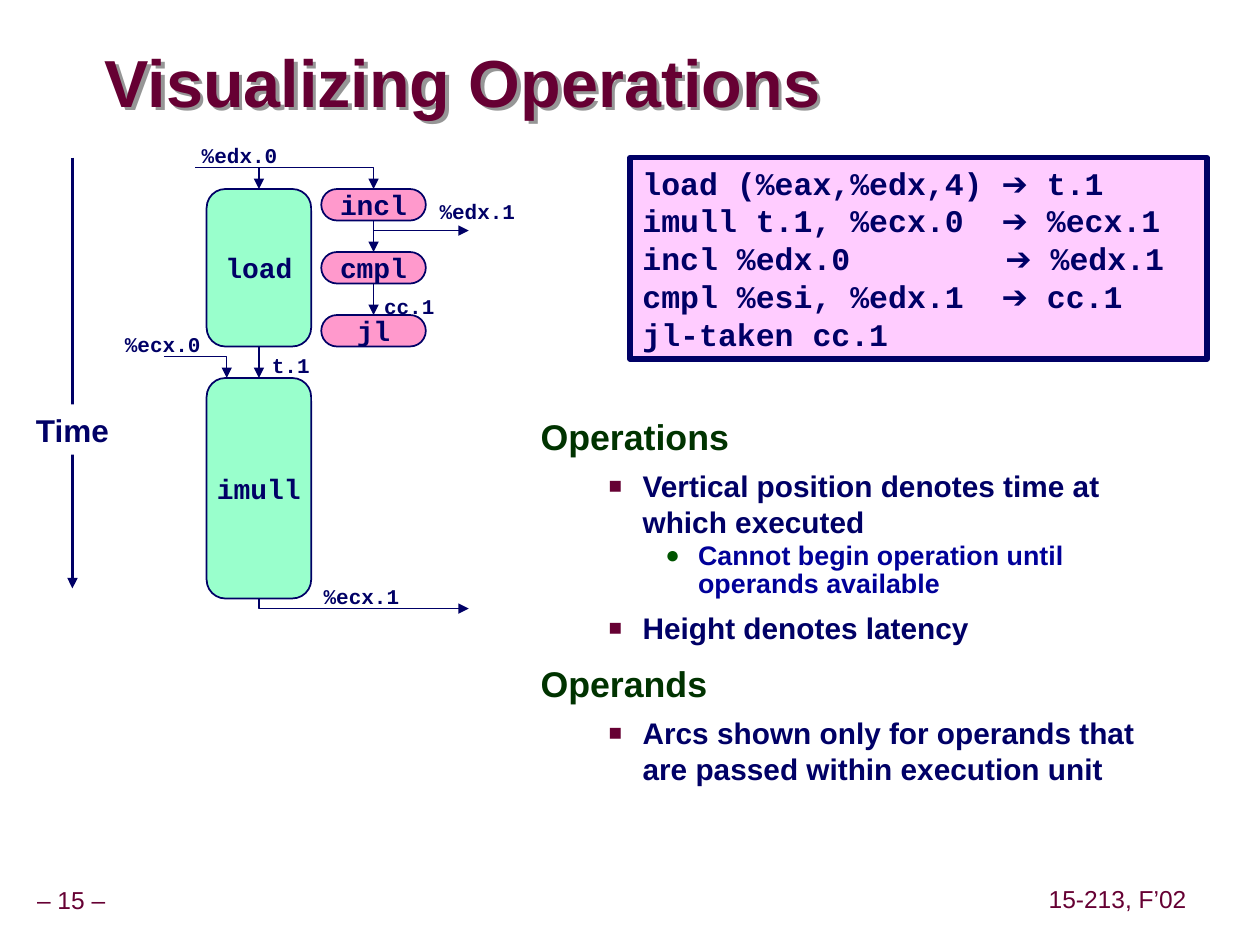
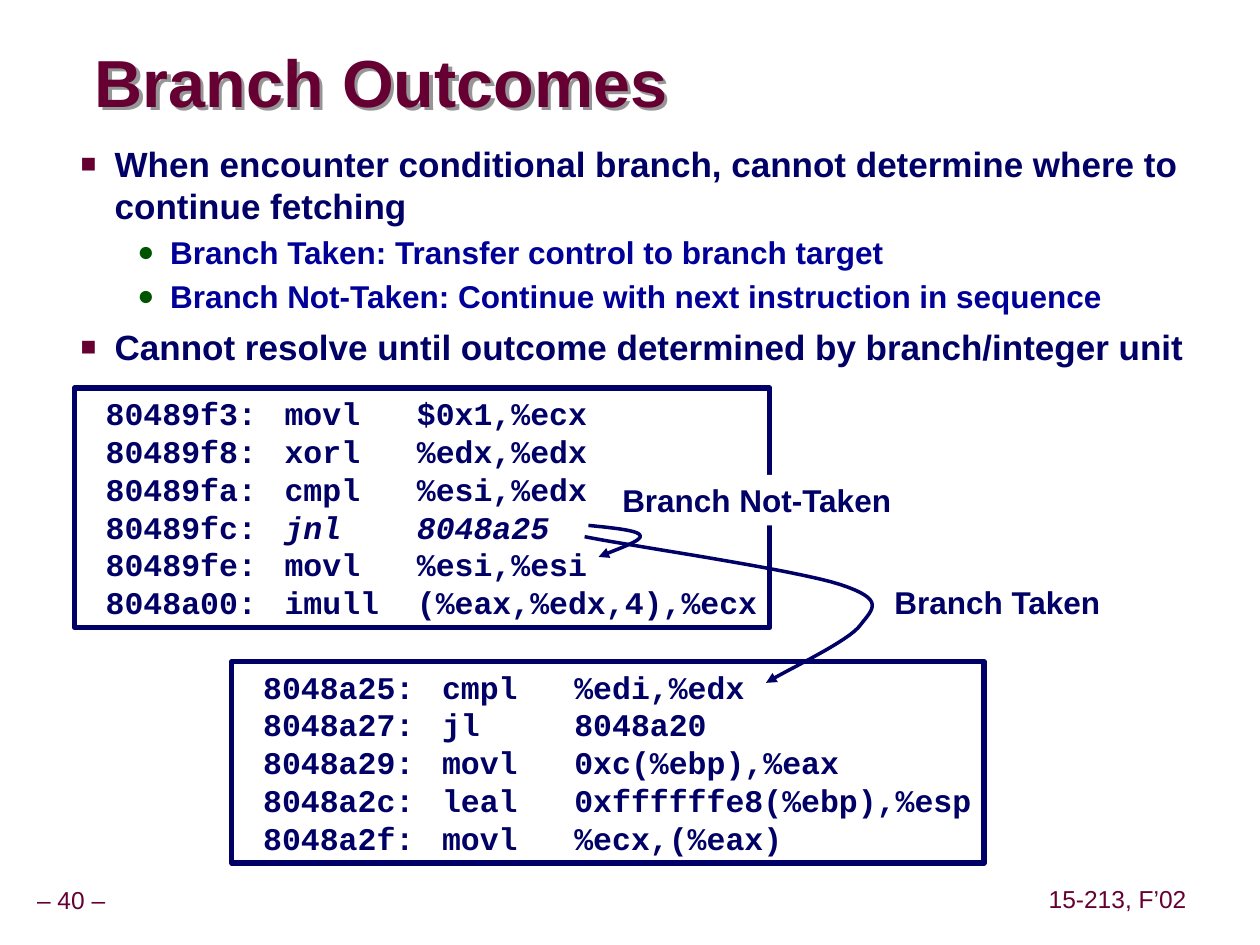
from dataclasses import dataclass

from lxml.etree import SubElement
from pptx import Presentation
from pptx.dml.color import RGBColor
from pptx.enum.shapes import MSO_CONNECTOR as CONN, MSO_SHAPE as SHAPE
from pptx.enum.text import MSO_ANCHOR as ANCHOR, MSO_AUTO_SIZE as AUTO, PP_ALIGN as ALIGN
from pptx.oxml.ns import qn
from pptx.util import Inches, Pt


@dataclass(frozen=True)
class Theme:
    sans: str = "Arial"
    mono: str = "Courier New"
    navy: str = "000066"
    blue: str = "000099"
    maroon: str = "660033"
    green: str = "003300"
    bullet_green: str = "005400"
    mint: str = "99FFCC"
    pink: str = "FF99CC"
    pale_pink: str = "FFCCFF"
    white: str = "FFFFFF"
    shadow: str = "969696"
    title: float = 38
    text: float = 18
    operation: float = 16
    footer: float = 14
    operand: float = 12
    thin: float = 0.75
    outline: float = 1
    arrow: float = 2
    frame: float = 3


@dataclass(frozen=True)
class Level:
    size: float
    color: str
    margin: float
    indent: float
    before: float
    spacing: float = 1.0
    bullet: str = ""
    bullet_color: str = ""
    bullet_size: int = 100


@dataclass(frozen=True)
class Box:
    x: float
    y: float
    w: float
    h: float

    def inside(self, dx, dy, w, h):
        return Box(self.x + dx, self.y + dy, w, h)

    def point(self, dx, dy):
        return self.x + dx, self.y + dy

    def emu(self):
        return [Inches(v) for v in (self.x, self.y, self.w, self.h)]


T = Theme()
LEVELS = [
    Level(24, T.green, 0.42, -0.42, 15, 0.75),
    Level(20, T.navy, 0.81, -0.27, 6.2, 1.0, "■", T.maroon, 75),
    Level(18, T.blue, 1.25, -0.26, 2.2, 1.0, "●", T.bullet_green, 90),
]
COURSE = "15-213, F’02"


def rgb(color):
    return RGBColor.from_string(color)


def add_run(p, text, size=T.text, color=T.navy, font=T.sans, bold=True, italic=False):
    r = p.add_run()
    r.text = text
    r.font.size, r.font.name = Pt(size), font
    r.font.bold, r.font.italic = bold, italic
    r.font.color.rgb = rgb(color)


def write(sp, lines, align=ALIGN.LEFT, anchor=ANCHOR.TOP, wrap=False,
          inset=(0.1, 0.05), spacing=None, tab=None, **fmt):
    """Fill a shape; a line is a string or a list of (text, format) runs."""
    tf = sp.text_frame
    tf.word_wrap, tf.auto_size, tf.vertical_anchor = wrap, AUTO.NONE, anchor
    tf.margin_left = tf.margin_right = Inches(inset[0])
    tf.margin_top = tf.margin_bottom = Inches(inset[1])
    for i, line in enumerate(lines):
        p = tf.paragraphs[0] if i == 0 else tf.add_paragraph()
        if tab:
            tabs = SubElement(p._p.get_or_add_pPr(), qn("a:tabLst"))
            SubElement(tabs, qn("a:tab"), pos=str(Inches(tab)), algn="l")
        p.alignment = align
        if spacing:
            p.line_spacing = spacing
        for text, extra in [(line, {})] if isinstance(line, str) else line:
            add_run(p, text, **{**fmt, **extra})


def add_label(slide, box, text, **fmt):
    write(slide.shapes.add_textbox(*box.emu()), [text], **fmt)


def add_block(slide, box, shape=SHAPE.RECTANGLE, fill=None, line=None, width=T.outline):
    sp = slide.shapes.add_shape(shape, *box.emu())
    sp.shadow.inherit = False
    if fill:
        sp.fill.solid()
        sp.fill.fore_color.rgb = rgb(fill)
    else:
        sp.fill.background()
    if line:
        sp.line.color.rgb, sp.line.width = rgb(line), Pt(width)
    else:
        sp.line.fill.background()
    return sp


def style_arrow(sp, width):
    sp.line.color.rgb, sp.line.width = rgb(T.navy), Pt(width)
    spPr = sp._element.spPr
    SubElement(spPr.find(qn("a:ln")), qn("a:tailEnd"), type="triangle")
    if spPr.find(qn("a:effectLst")) is None:
        SubElement(spPr, qn("a:effectLst"))


def add_arrow(slide, start, end, width=T.thin, source=None, target=None):
    """Straight arrow, joined to the bottom of source and the top of target."""
    sp = slide.shapes.add_connector(CONN.STRAIGHT, *(Inches(v) for v in (*start, *end)))
    if source:
        sp.begin_connect(source, 2)
    if target:
        sp.end_connect(target, 0)
    style_arrow(sp, width)


def add_path_arrow(slide, points, width=T.thin):
    pts = [(Inches(x), Inches(y)) for x, y in points]
    builder = slide.shapes.build_freeform(*pts[0])
    builder.add_line_segments(pts[1:], close=False)
    sp = builder.convert_to_shape()
    sp.fill.background()
    style_arrow(sp, width)


def curve(start, *segments, steps=16):
    """Points along a chain of cubic Bézier segments."""
    points = [start]
    for c1, c2, end in segments:
        for i in range(1, steps + 1):
            t = i / steps
            weights = ((1 - t) ** 3, 3 * t * (1 - t) ** 2, 3 * t * t * (1 - t), t ** 3)
            points.append(tuple(sum(w * q[k] for w, q in zip(weights, (start, c1, c2, end)))
                                for k in (0, 1)))
        start = end
    return points


def add_title(slide, box, text):
    sp = slide.shapes.title
    sp.left, sp.top, sp.width, sp.height = box.emu()
    write(sp, [text], anchor=ANCHOR.MIDDLE, wrap=True, inset=(0, 0), spacing=0.87,
          size=T.title, color=T.maroon)
    sp.fill.background()
    effects = SubElement(sp._element.spPr, qn("a:effectLst"))
    shadow = SubElement(effects, qn("a:outerShdw"), dist=str(Inches(0.04)),
                        dir="2700000", algn="ctr", rotWithShape="0")
    SubElement(shadow, qn("a:srgbClr"), val=T.shadow)


def add_list(slide, box, items, scale=1.0, detail_spacing=1.0):
    sp = slide.placeholders[1]
    sp.left, sp.top, sp.width, sp.height = box.emu()
    write(sp, [], wrap=True)
    tf = sp.text_frame
    for i, (depth, text) in enumerate(items):
        p = tf.paragraphs[0] if i == 0 else tf.add_paragraph()
        level = LEVELS[depth]
        p.level = depth
        pPr = p._p.get_or_add_pPr()
        pPr.set("marL", str(Inches(level.margin)))
        pPr.set("indent", str(Inches(level.indent)))
        if level.bullet:
            color = SubElement(pPr, qn("a:buClr"))
            SubElement(color, qn("a:srgbClr"), val=level.bullet_color)
            SubElement(pPr, qn("a:buSzPct"), val=str(level.bullet_size * 1000))
            SubElement(pPr, qn("a:buFont"), typeface=T.sans)
            SubElement(pPr, qn("a:buChar"), char=level.bullet)
        else:
            SubElement(pPr, qn("a:buNone"))
        p.alignment = ALIGN.LEFT
        p.line_spacing = detail_spacing if depth == 2 else level.spacing
        p.space_before = Pt(level.before if i else 0)
        add_run(p, text, size=level.size * scale, color=level.color)


def add_slide(prs, number, title, title_box):
    slide = prs.slides.add_slide(prs.slide_layouts[1])
    add_title(slide, title_box, title)
    for box, text in ((Box(-0.09, 7, 1.31, 0.31), f"– {number} –"),
                      (Box(8.27, 6.99, 1.2, 0.31), COURSE)):
        add_label(slide, box, text, align=ALIGN.CENTER, anchor=ANCHOR.MIDDLE,
                  inset=(0.05, 0.05), spacing=0.9, size=T.footer, color=T.maroon, bold=False)
    return slide


def add_code(slide, box, lines, fill=None, tab=1.57, wrap=False):
    sp = add_block(slide, box, fill=fill, line=T.navy, width=T.frame)
    write(sp, lines, wrap=wrap, tab=tab, font=T.mono)


def add_operation(slide, box, name, fill, radius):
    sp = add_block(slide, box, SHAPE.ROUNDED_RECTANGLE, fill, T.navy)
    sp.adjustments[0] = radius
    write(sp, [name], align=ALIGN.CENTER, anchor=ANCHOR.MIDDLE,
          size=T.operation, font=T.mono)
    return sp


def add_time_axis(slide, box):
    middle = box.w / 2
    add_arrow(slide, box.point(middle, 0), box.point(middle, box.h), T.arrow)
    sp = add_block(slide, box.inside(0, 1.96, box.w, 0.4), fill=T.white)
    write(sp, ["Time"], align=ALIGN.CENTER, wrap=True)


def add_dataflow(slide, box):
    """Operation blocks with the operands passed between them."""
    at = box.point
    op_w, step = 0.83, 0.25
    load_x, chain_x, top = 0.34, 1.25, 0.17
    load_mid, chain_mid = load_x + op_w / 2, chain_x + op_w / 2
    load_h, imull_h, right = 5 * step, 7 * step, 2.42
    load_end = top + load_h
    imull_top = load_end + step
    imull_end = imull_top + imull_h

    load, imull = (add_operation(slide, box.inside(load_x, y, op_w, h), name, T.mint, 0.18)
                   for name, y, h in (("load", top, load_h), ("imull", imull_top, imull_h)))
    chain = [add_operation(slide, box.inside(chain_x, top + 2 * i * step, op_w, step),
                           name, T.pink, 0.5)
             for i, name in enumerate(("incl", "cmpl", "jl"))]

    add_arrow(slide, at(load_mid, 0), at(load_mid, top), target=load)
    for source, target in ((load, imull), *zip(chain, chain[1:])):
        add_arrow(slide, at(0, 0), at(0, 0), source=source, target=target)
    add_arrow(slide, at(chain_mid, 0.5), at(right, 0.5))
    for path in (
        ((0.25, 0), (chain_mid, 0), (chain_mid, top)),
        ((0, 1.5), (0.5, 1.5), (0.5, imull_top)),
        ((load_mid, imull_end), (load_mid, imull_end + 0.08), (right, imull_end + 0.08)),
    ):
        add_path_arrow(slide, [at(*q) for q in path])

    for text, x, y, w, align in (
        ("%edx.0", 0.2, -0.25, 0.8, ALIGN.RIGHT),
        ("%edx.1", 2.09, 0.2, 0.8, ALIGN.LEFT),
        ("cc.1", 1.65, 0.95, 0.6, ALIGN.LEFT),
        ("%ecx.0", -0.41, 1.25, 0.8, ALIGN.RIGHT),
        ("t.1", 0.76, 1.42, 0.5, ALIGN.LEFT),
        ("%ecx.1", 1.17, 3.25, 0.8, ALIGN.LEFT),
    ):
        add_label(slide, box.inside(x, y, w, 0.3), text, align=align,
                  size=T.operand, font=T.mono)


def add_branch_arrows(slide, box):
    at = box.point
    add_label(slide, box.inside(2.36, 0.41, 1.85, 0.4), "Branch Taken")
    sp = add_block(slide, box.inside(0.2, -0.4, 2.35, 0.4), fill=T.white)
    write(sp, ["Branch Not-Taken"])
    not_taken = curve(at(0.03, 0), (at(0.23, 0.02), at(0.43, 0.04), at(0.44, 0.08)),
                      (at(0.46, 0.12), at(0.28, 0.18), at(0.11, 0.25)))
    taken = curve(at(0, 0.09), (at(0.34, 0.16), at(1.66, 0.35), at(2.03, 0.47)),
                  (at(2.39, 0.59), at(2.29, 0.66), at(2.19, 0.79)),
                  (at(2.1, 0.92), at(1.6, 1.15), at(1.44, 1.25)))
    for points in (not_taken, taken):
        add_path_arrow(slide, points, T.arrow)


def build_operations(prs):
    slide = add_slide(prs, 15, "Visualizing Operations", Box(0.83, 0.37, 6.95, 0.63))
    add_list(slide, Box(4.19, 3.32, 5.21, 2.99), [
        (0, "Operations"),
        (1, "Vertical position denotes time at which executed"),
        (2, "Cannot begin operation until operands available"),
        (1, "Height denotes latency"),
        (0, "Operands"),
        (1, "Arcs shown only for operands that are passed within execution unit"),
    ], scale=0.85, detail_spacing=0.87)
    add_dataflow(slide, Box(1.3, 1.33, 2.42, 3.5))
    steps = (("load (%eax,%edx,4) ", " t.1"), ("imull t.1, %ecx.0  ", " %ecx.1"),
             ("incl %edx.0\t", " %edx.1"), ("cmpl %esi, %edx.1  ", " cc.1"))
    lines = [[(left, {}), ("➔", {"font": T.sans}), (right, {})] for left, right in steps]
    add_code(slide, Box(5, 1.25, 4.58, 1.6), [*lines, "jl-taken cc.1"],
             fill=T.pale_pink, tab=2.88, wrap=True)
    add_time_axis(slide, Box(0.15, 1.25, 0.85, 3.42))


def build_branches(prs):
    slide = add_slide(prs, 40, "Branch Outcomes", Box(0.75, 0.37, 6.49, 0.63))
    add_list(slide, Box(0, 1.08, 9.58, 2), [
        (1, "When encounter conditional branch, cannot determine where to continue fetching"),
        (2, "Branch Taken: Transfer control to branch target"),
        (2, "Branch Not-Taken: Continue with next instruction in sequence"),
        (1, "Cannot resolve until outcome determined by branch/integer unit"),
    ], detail_spacing=1.07)
    add_code(slide, Box(0.59, 3.08, 5.52, 1.9), [
        " 80489f3:\tmovl   $0x1,%ecx",
        " 80489f8:\txorl   %edx,%edx",
        " 80489fa:\tcmpl   %esi,%edx",
        [(" 80489fc:\t", {}), ("jnl    8048a25", {"italic": True})],
        " 80489fe:\tmovl   %esi,%esi",
        " 8048a00:\timull  (%eax,%edx,4),%ecx",
    ])
    add_code(slide, Box(1.84, 5.25, 5.97, 1.6), [
        " 8048a25:\tcmpl   %edi,%edx",
        " 8048a27:\tjl     8048a20",
        " 8048a29:\tmovl   0xc(%ebp),%eax",
        " 8048a2c:\tleal   0xffffffe8(%ebp),%esp",
        " 8048a2f:\tmovl   %ecx,(%eax)",
    ])
    add_branch_arrows(slide, Box(4.64, 4.17, 4.21, 1.25))


def main():
    prs = Presentation()
    prs.slide_width, prs.slide_height = Inches(10), Inches(7.5)
    build_operations(prs)
    build_branches(prs)
    prs.save("out.pptx")


if __name__ == "__main__":
    main()
